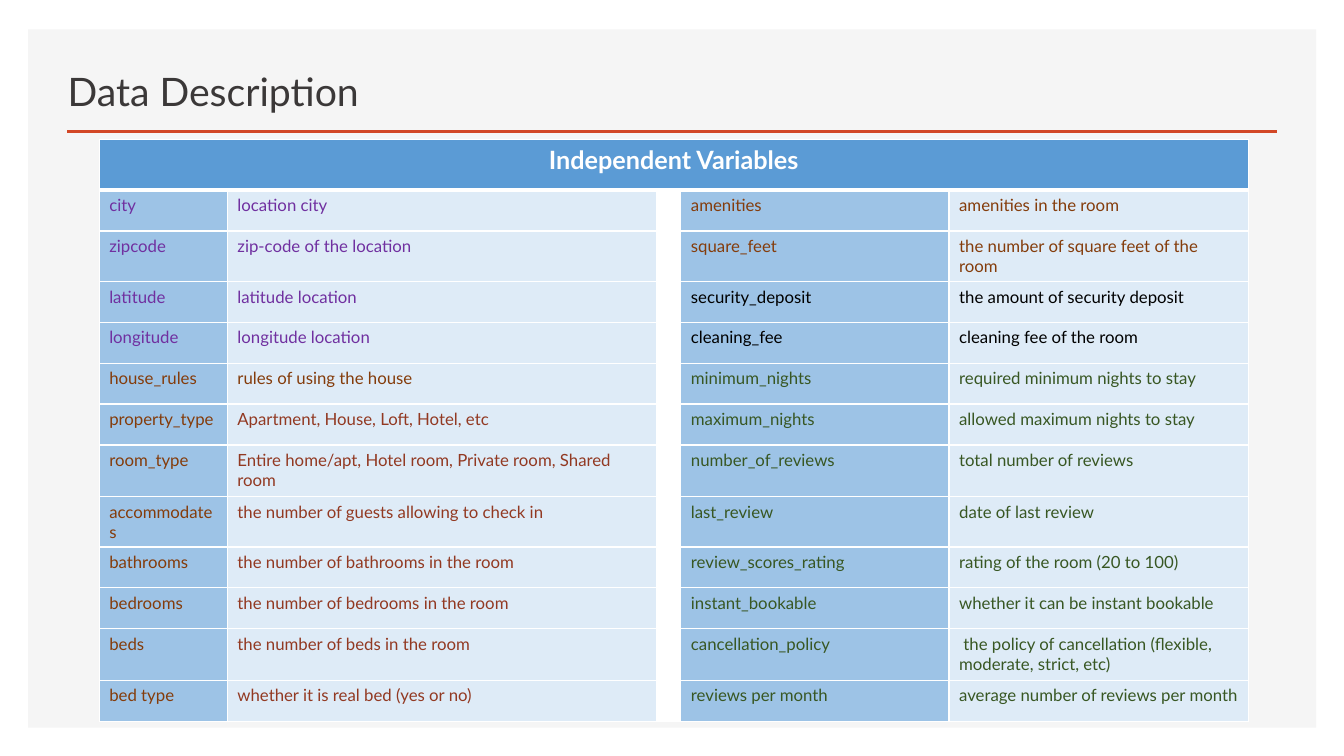
from lxml.etree import SubElement
from pptx import Presentation
from pptx.dml.color import RGBColor
from pptx.enum.shapes import MSO_CONNECTOR as Connector, MSO_SHAPE as Shape
from pptx.enum.text import MSO_ANCHOR as Anchor, MSO_AUTO_SIZE as AutoSize, PP_ALIGN as Align
from pptx.oxml.ns import qn
from pptx.util import Cm, Pt

# Content
TITLE = "Data Description"
HEADING = "Independent Variables"
# Each variable: name, description, name colour, description colour
LEFT_VARIABLES = [
    ("city", "location city", "purple", "purple"),
    ("zipcode", "zip-code of the location", "purple", "purple"),
    ("latitude", "latitude location", "purple", "purple"),
    ("longitude", "longitude location", "purple", "purple"),
    ("house_rules", "rules of using the house", "brown", "brown"),
    ("property_type", "Apartment, House, Loft, Hotel, etc", "brown", "rust"),
    ("room_type", "Entire home/apt, Hotel room, Private room, Shared room", "brown", "rust"),
    ("accommodates", "the number of guests allowing to check in", "brown", "rust"),
    ("bathrooms", "the number of bathrooms in the room", "brown", "rust"),
    ("bedrooms", "the number of bedrooms in the room", "brown", "rust"),
    ("beds", "the number of beds in the room", "brown", "rust"),
    ("bed type", "whether it is real bed (yes or no)", "brown", "rust"),
]
RIGHT_VARIABLES = [
    ("amenities", "amenities in the room", "brown", "brown"),
    ("square_feet", "the number of square feet of the room", "brown", "brown"),
    ("security_deposit", "the amount of security deposit", "black", "black"),
    ("cleaning_fee", "cleaning fee of the room", "black", "black"),
    ("minimum_nights", "required minimum nights to stay", "green", "green"),
    ("maximum_nights", "allowed maximum nights to stay", "green", "green"),
    ("number_of_reviews", "total number of reviews", "green", "green"),
    ("last_review", "date of last review", "green", "green"),
    ("review_scores_rating", "rating of the room (20 to 100)", "green", "green"),
    ("instant_bookable", "whether it can be instant bookable", "green", "green"),
    ("cancellation_policy", " the policy of cancellation (flexible, moderate, strict, etc)",
     "green", "green"),
    ("reviews per month", "average number of reviews per month", "green", "green"),
]

# Look
FONT = "Lato"
COLORS = {
    "panel": "F5F5F5", "rule": "D24726", "title": "3B3838", "white": "FFFFFF",
    "heading": "5B9BD5", "name": "9DC3E6", "description": "DEEBF7",
    "purple": "7030A0", "brown": "843C0B", "rust": "923922",
    "green": "385723", "black": "000000",
}
COLUMN_WIDTHS = [3.23, 10.82, 0.58, 6.76, 7.54]
COLUMN_FILLS = ["name", "description", "white", "name", "description"]
HEADING_HEIGHT, ROW_HEIGHT, TALL_HEIGHT = 1.27, 1.02, 1.3
TALL_ROWS = {7, 11}


def color(key):
    return RGBColor.from_string(COLORS[key])


def add_run(paragraph, text, size, ink, bold=False):
    run = paragraph.add_run()
    run.text = text
    run.font.name, run.font.size, run.font.bold = FONT, Pt(size), bold
    run.font.color.rgb = color(ink)


def style_cell(cell, fill, bottom_width=1):
    properties = cell._tc.get_or_add_tcPr()
    for side in ("lnL", "lnR", "lnT", "lnB"):
        width = bottom_width if side == "lnB" else 1
        border = SubElement(properties, qn(f"a:{side}"), w=str(Pt(width)))
        border_fill = SubElement(border, qn("a:solidFill"))
        SubElement(border_fill, qn("a:srgbClr"), val=COLORS["white"])
    cell.fill.solid()
    cell.fill.fore_color.rgb = color(fill)


prs = Presentation()
prs.slide_width, prs.slide_height = Cm(33.87), Cm(19.05)
slide = prs.slides.add_slide(prs.slide_layouts[5])

# Title
title = slide.shapes.title
title.left, title.top, title.width, title.height = Cm(1.45), Cm(1.24), Cm(19.1), Cm(1.78)
title.text_frame.auto_size = AutoSize.NONE
title.text_frame.vertical_anchor = Anchor.BOTTOM
title_line = title.text_frame.paragraphs[0]
title_line.alignment = Align.LEFT
add_run(title_line, TITLE, 28, "title")

# Panel behind the title
panel = slide.shapes.add_shape(Shape.RECTANGLE, Cm(0.71), Cm(0.74), Cm(32.46), Cm(17.6))
panel.shadow.inherit = False
panel.fill.solid()
panel.fill.fore_color.rgb = color("panel")
panel.line.fill.background()
title.element.addprevious(panel.element)

# Rule under the title
rule = slide.shapes.add_connector(Connector.STRAIGHT, Cm(1.69), Cm(3.32), Cm(32.18), Cm(3.32))
rule.line.color.rgb = color("rule")
rule.line.width = Pt(2)
SubElement(rule.element.spPr, qn("a:effectLst"))

# Table grid
row_heights = [HEADING_HEIGHT] + [
    TALL_HEIGHT if row in TALL_ROWS else ROW_HEIGHT
    for row in range(1, len(LEFT_VARIABLES) + 1)
]
variables = slide.shapes.add_table(
    len(row_heights), len(COLUMN_WIDTHS), Cm(2.5), Cm(3.52),
    Cm(sum(COLUMN_WIDTHS)), Cm(sum(row_heights))).table
for column, width in zip(variables.columns, COLUMN_WIDTHS):
    column.width = Cm(width)
for row, height in zip(variables.rows, row_heights):
    row.height = Cm(height)

# Heading row
for column in range(len(COLUMN_WIDTHS)):
    style_cell(variables.cell(0, column), "heading", bottom_width=3)
heading = variables.cell(0, 0)
heading.merge(variables.cell(0, len(COLUMN_WIDTHS) - 1))
heading_line = heading.text_frame.paragraphs[0]
heading_line.alignment = Align.CENTER
add_run(heading_line, HEADING, 18, "white", bold=True)

# Variable rows, two halves around a white gap
for row, halves in enumerate(zip(LEFT_VARIABLES, RIGHT_VARIABLES), start=1):
    for column, fill in enumerate(COLUMN_FILLS):
        style_cell(variables.cell(row, column), fill)
    for first_column, (name, description, name_ink, description_ink) in zip((0, 3), halves):
        entries = ((name, name_ink), (description, description_ink))
        for column, (text, ink) in enumerate(entries, start=first_column):
            add_run(variables.cell(row, column).text_frame.paragraphs[0], text, 12, ink)

prs.save("out.pptx")
